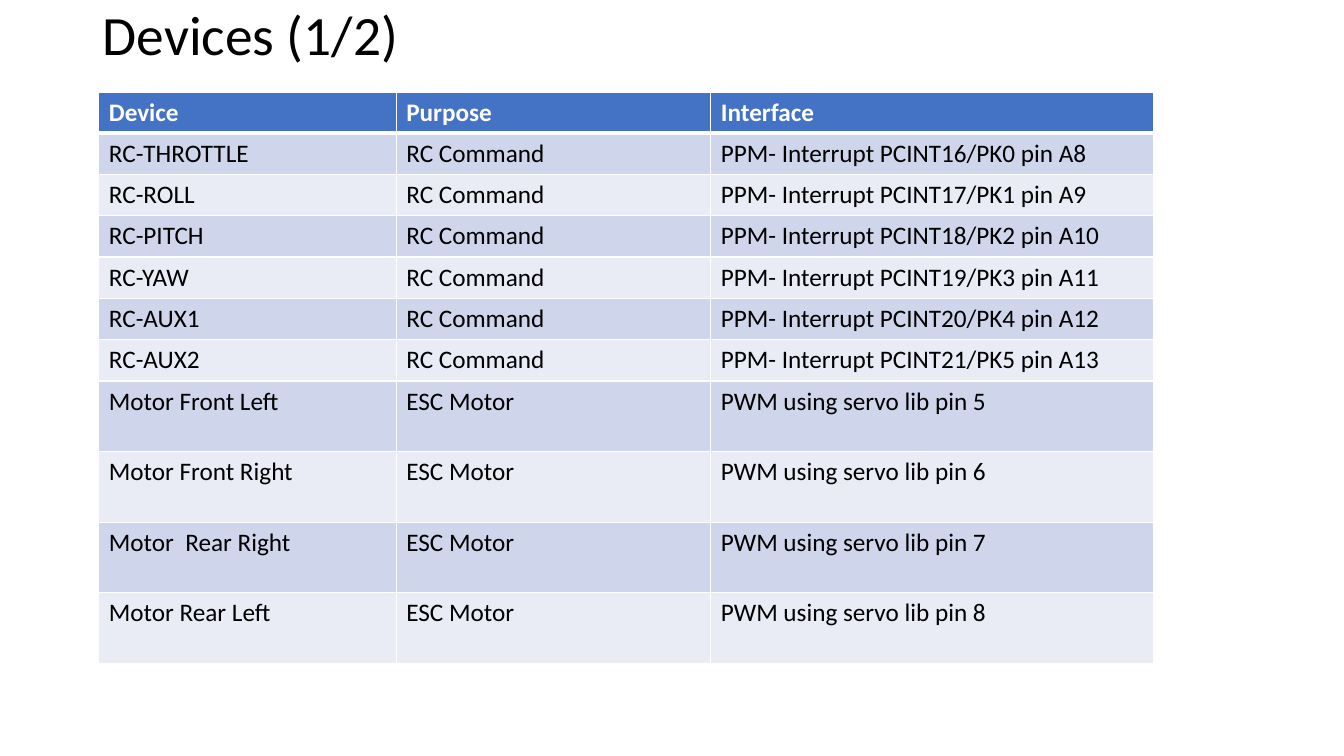
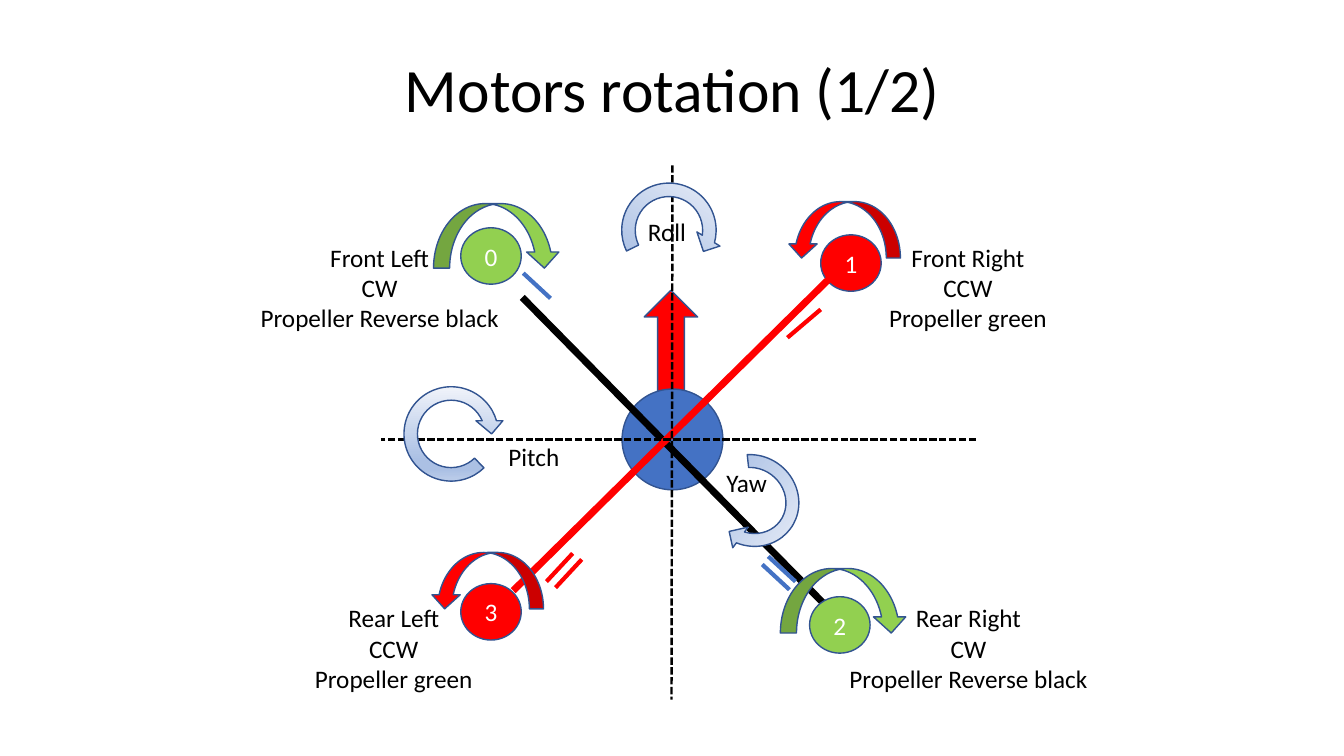
from lxml.etree import SubElement
from pptx import Presentation
from pptx.dml.color import RGBColor
from pptx.enum.dml import MSO_LINE
from pptx.enum.shapes import MSO_CONNECTOR, MSO_SHAPE
from pptx.enum.text import MSO_ANCHOR, PP_ALIGN
from pptx.oxml.ns import qn
from pptx.util import Pt

SCALE = 9144  # EMU per px, 100 px to the inch
FONT = "Calibri"
BLACK = RGBColor(0x00, 0x00, 0x00)
WHITE = RGBColor(0xFF, 0xFF, 0xFF)
BLUE = RGBColor(0x44, 0x72, 0xC4)
EDGE = RGBColor(0x32, 0x54, 0x91)
RED = RGBColor(0xFF, 0x00, 0x00)
GREEN = RGBColor(0x92, 0xD0, 0x50)
BANDS = (RGBColor(0xE9, 0xEB, 0xF5), RGBColor(0xCF, 0xD5, 0xEA))
FADE = ((0, "F6F8FC"), (74, "ABC0E4"), (83, "ABC0E4"), (100, "C7D5ED"))

# Table content
HEAD = ("Device", "Purpose", "Interface")
INPUTS = ("THROTTLE", "ROLL", "PITCH", "YAW", "AUX1", "AUX2")
MOTORS = ("Motor Front Left", "Motor Front Right", "Motor  Rear Right", "Motor Rear Left")
COLS = (295, 312, 439)

# Motor: number, place from hub, clockwise, spin offset, label offset and width, label
FRONT = (
    (0, (-210, -210), True, (-27, -24), (-210, 9, 259), "Front Left"),
    (1, (147, -203), False, (-33, -33), (57, 2, 178), "Front Right"),
)
REAR = (
    (3, (-210, 143), False, (-30, -31), (-156, 14, 179), "Rear Left"),
    (2, (136, 156), True, (-29, -28), (28, 1, 259), "Rear Right"),
)
# Turn: label and its box, arrow box, rotation, tail angle
TURNS = (
    ("Roll", (-46, -226, 81, 40), (-57, -261, 107, 107), 31.5, 73.49),
    ("Pitch", (-173, -3, 71, 40), (-273, -59, 107, 107), 0, 27.63),
    ("Yaw", (43, 23, 61, 40), (28, 7, 102, 107), 126.7, 82.26),
)
# Ticks: start from hub, run, colour
TICKS = (
    ((89, 124), (27, 25), BLUE),
    ((-148, -165), (27, 25), BLUE),
    ((95, 116), (27, 25), BLUE),
    ((114, -101), (33, -28), RED),
    ((-125, 141), (26, -28), RED),
    ((-116, 147), (26, -28), RED),
)


def px(*nums):
    return [n * SCALE for n in nums]


def write(frame, text, size=18, color=BLACK, bold=False, align=PP_ALIGN.LEFT,
          anchor=MSO_ANCHOR.TOP, wrap=True, space=None):
    frame.word_wrap = wrap
    frame.vertical_anchor = anchor
    for i, line in enumerate(text.split("\n")):
        para = frame.add_paragraph() if i else frame.paragraphs[0]
        para.alignment = align
        para.line_spacing = space
        run = para.add_run()
        run.text = line
        font = run.font
        font.name, font.size, font.bold = FONT, Pt(size), bold
        font.color.rgb = color


def label(slide, box, text, **form):
    write(slide.shapes.add_textbox(*px(*box)).text_frame, text, **form)


def title(slide, box, text, **form):
    label(slide, box, text, anchor=MSO_ANCHOR.MIDDLE, space=0.9, **form)


def shape(slide, kind, box, fill=None, turn=0):
    item = slide.shapes.add_shape(kind, *px(*box))
    item.shadow.inherit = False
    item.rotation = turn
    item.line.color.rgb = EDGE
    item.line.width = Pt(1)
    if fill is not None:
        item.fill.solid()
        item.fill.fore_color.rgb = fill
    return item


def line(slide, start, end, color, width, dash=None):
    item = slide.shapes.add_connector(MSO_CONNECTOR.STRAIGHT, *px(*start, *end))
    item.line.color.rgb = color
    item.line.width = Pt(width)
    if dash:
        item.line.dash_style = dash
    SubElement(item.element.spPr, qn("a:effectLst"))


def fade(item):
    """Fill a shape with the pale blue gradient, top to bottom."""
    item.fill.gradient()
    grad = item.element.spPr.find(qn("a:gradFill"))
    stops = grad.find(qn("a:gsLst"))
    for stop in list(stops):
        stops.remove(stop)
    for pos, color in FADE:
        stop = SubElement(stops, qn("a:gs"), pos=str(pos * 1000))
        SubElement(stop, qn("a:srgbClr"), val=color)
    grad.find(qn("a:lin")).set("ang", "5400000")


def border(cell, **widths):
    props = cell._tc.get_or_add_tcPr()
    for i, side in enumerate("LRTB"):
        width = widths.get(side, 1)
        edge = SubElement(props, qn("a:ln" + side), w=str(Pt(width)))
        fill = SubElement(edge, qn("a:solidFill"))
        SubElement(fill, qn("a:srgbClr"), val=str(WHITE))
        props.insert(i, edge)


def devices(slide, x, y):
    rows = [HEAD]
    rows += [(f"RC-{name}", "RC Command", f"PPM- Interrupt PCINT{16 + i}/PK{i} pin A{8 + i}")
             for i, name in enumerate(INPUTS)]
    rows += [(name, "ESC Motor", f"PWM using servo lib pin {5 + i}")
             for i, name in enumerate(MOTORS)]
    highs = [40] + [41] * len(INPUTS) + [70] * len(MOTORS)
    box = px(x, y, sum(COLS), sum(highs))
    table = slide.shapes.add_table(len(rows), len(COLS), *box).table
    for col, wide in zip(table.columns, COLS):
        col.width = wide * SCALE
    for r, (texts, high) in enumerate(zip(rows, highs)):
        table.rows[r].height = high * SCALE
        for c, text in enumerate(texts):
            cell = table.cell(r, c)
            cell.fill.solid()
            cell.fill.fore_color.rgb = BANDS[r % 2] if r else BLUE
            border(cell, B=1 if r else 3, T=3 if r == 1 else 1)
            write(cell.text_frame, text, color=BLACK if r else WHITE, bold=r == 0)


def motor(slide, x, y, num, clock, spin, note, name):
    color = GREEN if clock else RED
    disc = shape(slide, MSO_SHAPE.OVAL, (x, y, 60, 56), color)
    write(disc.text_frame, str(num), color=WHITE, align=PP_ALIGN.CENTER,
          anchor=MSO_ANCHOR.MIDDLE)
    # Spin arrow
    dx, dy = spin
    if clock:
        shape(slide, MSO_SHAPE.CURVED_DOWN_ARROW, (x + dx, y + dy, 126, 64), color)
    else:
        shape(slide, MSO_SHAPE.CURVED_UP_ARROW, (x + dx, y + dy, 112, 56), color, 180)
    # Label
    dx, dy, wide = note
    kind = "CW\nPropeller Reverse black" if clock else "CCW\nPropeller green"
    label(slide, (x + dx, y + dy, wide, 101), f"{name}\n{kind}",
          align=PP_ALIGN.CENTER, wrap=False)


def craft(slide, x, y):
    """Draw the craft around its hub centre."""
    def at(dx, dy, *size):
        return (x + dx, y + dy, *size)

    def motors(group):
        for num, spot, *rest in group:
            motor(slide, *at(*spot), num, *rest)

    # Heading arrow and hub
    shape(slide, MSO_SHAPE.UP_ARROW, at(-28, -148, 53, 107), RED)
    shape(slide, MSO_SHAPE.OVAL, at(-50, -50, 100, 100), BLUE)
    # Arms and motors
    motors(FRONT)
    line(slide, at(-149, -141), at(166, 179), BLACK, 5)
    line(slide, at(156, -160), at(-158, 150), RED, 5)
    motors(REAR)
    # Axes
    line(slide, at(0, -272), at(-1, 258), BLACK, 1.75, MSO_LINE.SQUARE_DOT)
    line(slide, at(301, 0), at(-289, 0), BLACK, 1.75, MSO_LINE.SQUARE_DOT)
    # Turns about the axes
    for name, note, box, turn, tail in TURNS:
        item = shape(slide, MSO_SHAPE.CIRCULAR_ARROW, at(*box), turn=turn)
        fade(item)
        for i, value in enumerate((0.125, 11.42, 204.58, tail, 0.125)):
            item.adjustments[i] = value
        label(slide, at(*note), name, align=PP_ALIGN.CENTER, wrap=False)
    # Ticks beside the arms
    for (dx, dy), (run, rise), color in TICKS:
        line(slide, at(dx, dy), at(dx + run, dy + rise), color, 3)


def main():
    deck = Presentation()
    deck.slide_width, deck.slide_height = px(1333, 750)
    blank = deck.slide_layouts[6]

    slide = deck.slides.add_slide(blank)
    title(slide, (92, 11, 1150, 52), "Devices (1/2)", size=39.6)
    devices(slide, 98, 92)

    slide = deck.slides.add_slide(blank)
    title(slide, (92, 19, 1150, 145), "Motors rotation (1/2)", size=44,
          align=PP_ALIGN.CENTER)
    craft(slide, 667, 436)

    deck.save("out.pptx")


if __name__ == "__main__":
    main()
